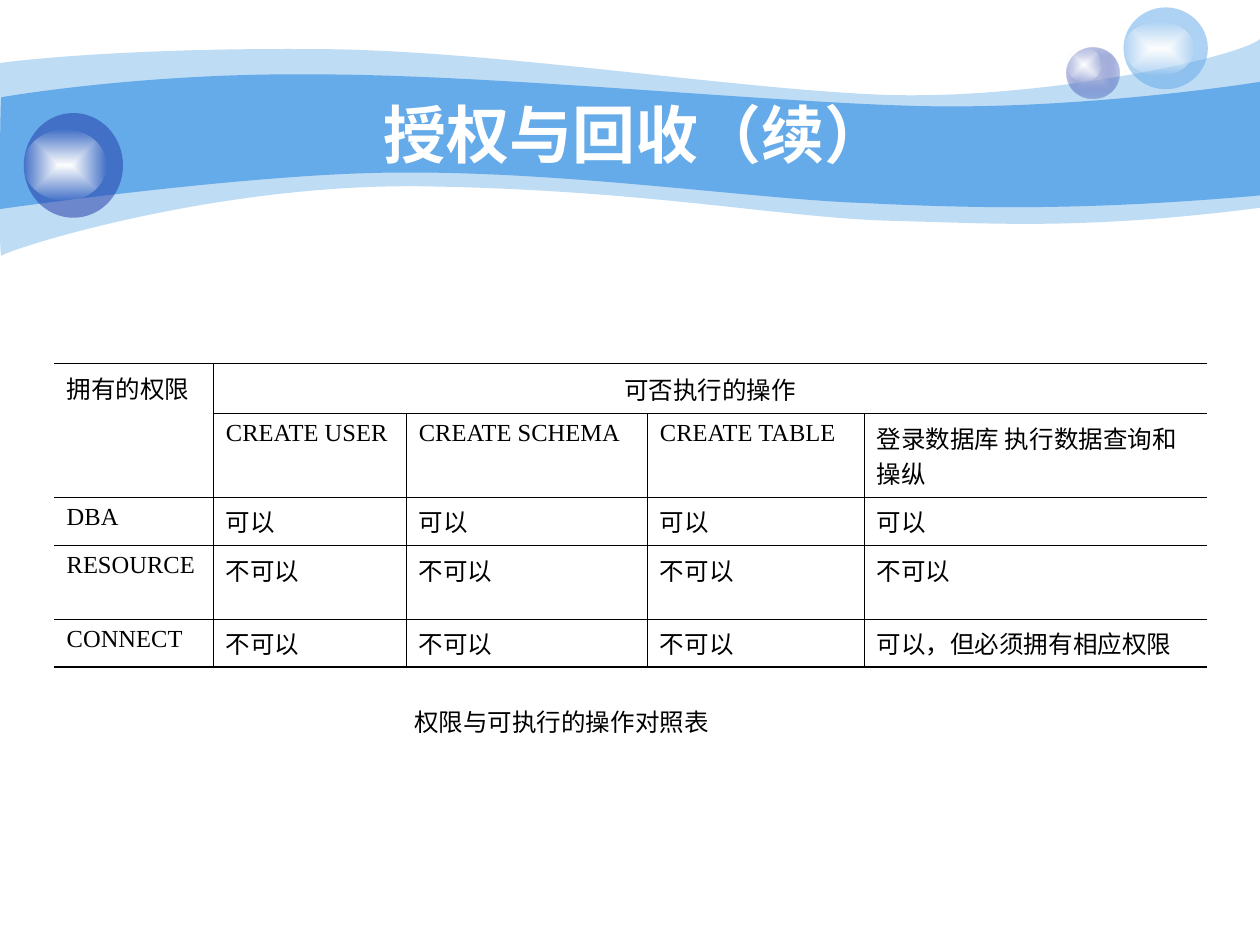
from pptx import Presentation
from pptx.dml.color import RGBColor
from pptx.enum.shapes import MSO_SHAPE
from pptx.enum.text import MSO_ANCHOR, MSO_AUTO_SIZE, PP_ALIGN
from pptx.oxml import parse_xml
from pptx.oxml.ns import nsdecls, qn
from pptx.util import Cm, Pt


def color(value):
    return RGBColor.from_string(value)


def write_text(frame, text, size=14, font="Times New Roman", ink="000000",
               bold=False, align=PP_ALIGN.LEFT, anchor=MSO_ANCHOR.TOP):
    frame.vertical_anchor = anchor
    paragraph = frame.paragraphs[0]
    paragraph.alignment = align
    run = paragraph.add_run()
    run.text = text
    run.font.size, run.font.name, run.font.bold = Pt(size), font, bold
    run.font.color.rgb = color(ink)


prs = Presentation()
prs.slide_width, prs.slide_height = Cm(25.4), Cm(19.05)
slide = prs.slides.add_slide(prs.slide_layouts[6])
shapes = slide.shapes

# Wavy bands: a start point, then segments (three points curve, one is straight)
pale_wave = [
    [(0, 1.27)],
    [(0.61, 1.19), (2.72, 0.97), (6.27, 0.99)],
    [(9.8, 0.99), (14.61, 1.78), (17.75, 1.91)],
    [(20.88, 2.03), (24.89, 1.19), (25.4, 0.79)],
    [(25.4, 4.19)],
    [(21.79, 4.65), (19.99, 4.5), (17.91, 4.45)],
    [(15.8, 4.39), (13.08, 3.84), (8.71, 3.76)],
    [(4.37, 3.66), (0.1, 5.05), (0.03, 5.16)],
    [(-0.03, 5.28), (0, 1.91), (0, 1.27)],
]
strong_wave = [
    [(0.03, 1.96)],
    [(0.05, 1.96), (2.79, 1.47), (6.3, 1.5)],
    [(9.8, 1.5), (15.11, 2.03), (18.24, 2.13)],
    [(21.36, 2.24), (24.79, 1.75), (25.4, 1.65)],
    [(25.4, 3.94)],
    [(21.67, 4.27), (19.43, 4.19), (17.32, 4.09)],
    [(15.21, 4.01), (11.35, 3.45), (8.05, 3.48)],
    [(5.16, 3.48), (-0.05, 4.22), (-0.03, 4.22)],
    [(0, 4.22), (0, 1.96), (0.03, 1.96)],
]
decorations = []  # (shape, [(colour, opacity in percent), ...])
for wave, opacity in ((pale_wave, 41), (strong_wave, 100)):
    start, *points = [(Cm(x), Cm(y)) for segment in wave for x, y in segment]
    builder = shapes.build_freeform(*start)
    builder.add_line_segments(points, close=True)
    band = builder.convert_to_shape()
    # Join each three straight steps into one cubic curve
    steps = iter(list(band._element.iter(qn("a:lnTo"))))
    for segment in wave[1:]:
        group = [next(steps) for _ in segment]
        if len(group) == 3:
            curve = parse_xml(f'<a:cubicBezTo {nsdecls("a")}/>')
            group[0].addprevious(curve)
            for step in group:
                curve.append(step[0])
                step.getparent().remove(step)
    decorations.append((band, [("65AAE9", opacity)]))

# Spheres, each with a highlight on its left side
glow = [("FFFFFF", 100), ("FFFFFF", 0)]
spheres = [
    ((21.5, 0.96, 1.07, 1.02), [("C7CEE9", 100), ("233DA9", 31)]),
    ((21.5, 0.96, 0.71, 0.69), glow),
    ((22.65, 0.15, 1.7, 1.65), [("65AAE9", 53)]),
    ((22.65, 0.43, 1.42, 1.09), glow),
    ((0.48, 2.28, 2, 2.11), [("233DA9", 53)]),
    ((0.48, 2.62, 1.67, 1.42), glow),
]
for box, stops in spheres:
    sphere = shapes.add_shape(MSO_SHAPE.OVAL, *map(Cm, box))
    decorations.append((sphere, stops))

# Translucent fills: one stop is solid, two run from the centre to the edge
for decoration, stops in decorations:
    decoration.shadow.inherit = False
    decoration.line.fill.background()
    decoration.fill.background()
    tints = [f'<a:srgbClr val="{color(tint)}"><a:alpha val="{opacity * 1000}"/></a:srgbClr>'
             for tint, opacity in stops]
    if len(tints) == 1:
        fill = f'<a:solidFill {nsdecls("a")}>{tints[0]}</a:solidFill>'
    else:
        fill = (f'<a:gradFill {nsdecls("a")} rotWithShape="1"><a:gsLst>'
                f'<a:gs pos="0">{tints[0]}</a:gs><a:gs pos="100000">{tints[1]}</a:gs>'
                '</a:gsLst><a:path path="rect">'
                '<a:fillToRect l="50000" t="50000" r="50000" b="50000"/>'
                '</a:path></a:gradFill>')
    properties = decoration._element.spPr
    properties.replace(properties.find(qn("a:noFill")), parse_xml(fill))

# Title
title = shapes.add_textbox(Cm(2.55), Cm(1.91), Cm(20.52), Cm(1.57)).text_frame
title.word_wrap = True
write_text(title, "授权与回收（续）", size=36, font="Arial", ink="FFFFFF", bold=True,
           align=PP_ALIGN.CENTER, anchor=MSO_ANCHOR.MIDDLE)

# Privilege table
rows = [
    ["拥有的权限", "可否执行的操作", "", "", ""],
    ["", "CREATE USER", "CREATE SCHEMA", "CREATE TABLE", "登录数据库 执行数据查询和操纵"],
    ["DBA"] + ["可以"] * 4,
    ["RESOURCE"] + ["不可以"] * 4,
    ["CONNECT"] + ["不可以"] * 3 + ["可以，但必须拥有相应权限"],
]
column_widths = [3.21, 3.89, 4.86, 4.37, 6.91]
row_heights = [1, 1.69, 0.97, 1.49, 0.97]
last_row, last_column = len(rows) - 1, len(column_widths) - 1
privileges = shapes.add_table(
    len(rows), len(column_widths), Cm(1.09), Cm(7.33),
    Cm(sum(column_widths)), Cm(sum(row_heights))).table
privileges.first_row = privileges.horz_banding = False
for column, width in zip(privileges.columns, column_widths):
    column.width = Cm(width)
for row, height in zip(privileges.rows, row_heights):
    row.height = Cm(height)
heading = privileges.cell(0, 1)
privileges.cell(0, 0).merge(privileges.cell(1, 0))
heading.merge(privileges.cell(0, last_column))

for r, row in enumerate(rows):
    for c, text in enumerate(row):
        cell = privileges.cell(r, c)
        # Open left and right sides, heavier rules at top and bottom
        reach = c + cell.span_width - 1 if cell.is_merge_origin else c
        borders = {
            "lnL": 0 if c == 0 else 0.45,
            "lnR": 0 if reach == last_column else 0.45,
            "lnT": 1.08 if r == 0 else 0.45,
            "lnB": 1.08 if r == last_row else 0.45,
        }
        for side, weight in borders.items():
            stroke = (f'<a:solidFill><a:srgbClr val="{color("000000")}"/></a:solidFill>'
                      if weight else "<a:noFill/>")
            cell._tc.get_or_add_tcPr().append(parse_xml(
                f'<a:{side} {nsdecls("a")} w="{Pt(weight)}">{stroke}</a:{side}>'))
        cell.fill.background()
        if text:
            write_text(cell.text_frame, text)
heading.vertical_anchor = MSO_ANCHOR.MIDDLE
heading.text_frame.paragraphs[0].alignment = PP_ALIGN.CENTER

# Caption
caption = shapes.add_textbox(Cm(8.1), Cm(14.12), Cm(6.55), Cm(0.86)).text_frame
caption.word_wrap = False
caption.auto_size = MSO_AUTO_SIZE.SHAPE_TO_FIT_TEXT
write_text(caption, "权限与可执行的操作对照表", anchor=MSO_ANCHOR.MIDDLE)

prs.save("out.pptx")
